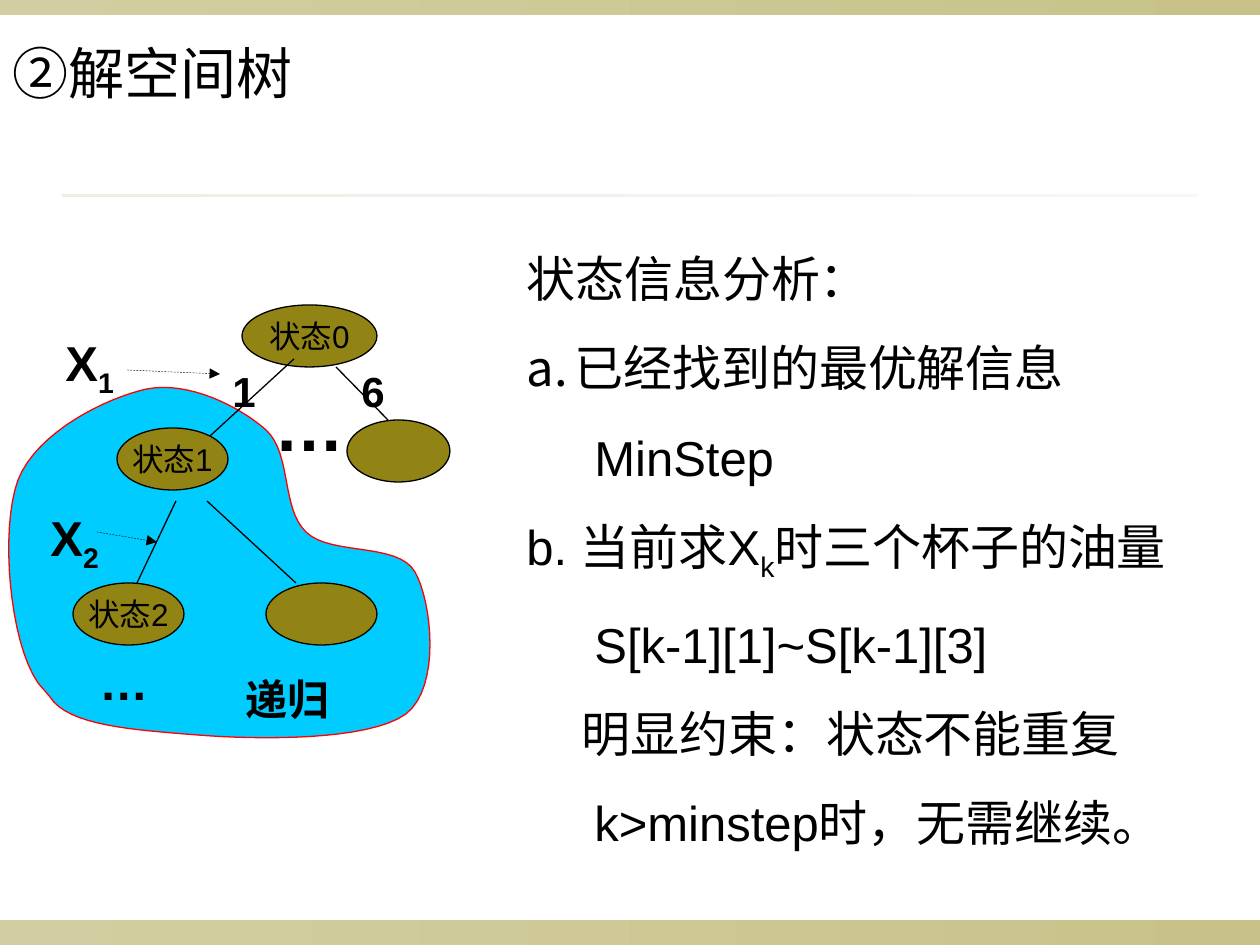
from lxml import etree
from pptx import Presentation
from pptx.dml.color import RGBColor
from pptx.enum.dml import MSO_LINE
from pptx.enum.shapes import MSO_CONNECTOR, MSO_SHAPE
from pptx.enum.text import MSO_ANCHOR, MSO_AUTO_SIZE, PP_ALIGN
from pptx.oxml.ns import qn
from pptx.util import Pt

PX = 914400 / 126
RECT, OVAL = MSO_SHAPE.RECTANGLE, MSO_SHAPE.OVAL
STRAIGHT, DASH = MSO_CONNECTOR.STRAIGHT, MSO_LINE.DASH
MIDDLE, CENTER = MSO_ANCHOR.MIDDLE, PP_ALIGN.CENTER
FIT = MSO_AUTO_SIZE.SHAPE_TO_FIT_TEXT

COLORS = {
    "ink": "000000", "node": "918415", "region": "00CCFF", "outline": "FF0000",
    "band_from": "D3CEA1", "band_to": "C8C28A",
    "rule_from": "EDECE5", "rule_to": "F8F7F5",
}

# Cubic segments of the recursion region: two control points and an end point
REGION_START = (38, 683)
REGION_CURVES = [
    ((9, 641), (0, 529), (18, 480)),
    ((37, 432), (106, 398), (147, 389)),
    ((188, 381), (239, 406), (266, 430)),
    ((292, 454), (281, 508), (306, 532)),
    ((330, 556), (398, 542), (415, 572)),
    ((432, 602), (441, 687), (406, 714)),
    ((369, 741), (258, 740), (197, 735)),
    ((135, 730), (68, 726), (50, 697)),
]
NODE_H = 62
NODES = [
    (242, 305, 135, "状态0"),
    (117, 428, 111, "状态1"),
    (347, 420, 103, ""),
    (73, 583, 111, "状态2"),
    (266, 583, 111, ""),
]
BRANCHES = [(294, 359, 210, 436), (336, 367, 388, 420),
            (176, 501, 137, 583), (207, 501, 296, 583)]
ARROWS = [(127, 370, 220, 374), (97, 532, 157, 542)]

# Each line: runs, left margin, first-line indent, numbering
ANALYSIS = [
    (["状态信息分析："], 0, 0, None),
    (["已经找到的最优解信息"], 48, -48, "alphaLcPeriod"),
    (["MinStep"], 68, 0, None),
    (["b. 当前求X", "_k", "时三个杯子的油量"], 48, -48, None),
    (["S[k-1][1]~S[k-1][3]"], 68, 0, None),
    (["明显约束：状态不能重复"], 55, 0, None),
    (["k>minstep时，无需继续。"], 68, 0, None),
]


def px(n):
    return round(n * PX)


def rgb(name):
    return RGBColor.from_string(COLORS[name])


def add_band(slide, box, name):
    """Borderless bar with a left-to-right gradient."""
    sp = slide.shapes.add_shape(RECT, *map(px, box))
    sp.shadow.inherit = False
    sp.line.fill.background()
    sp.fill.gradient()
    sp.fill.gradient_angle = 0
    for stop, end in zip(sp.fill.gradient_stops, ("from", "to")):
        stop.color.rgb = rgb(f"{name}_{end}")


def paint(sp, fill, line):
    sp.shadow.inherit = False
    sp.fill.solid()
    sp.fill.fore_color.rgb = rgb(fill)
    sp.line.color.rgb = rgb(line)
    sp.line.width = Pt(0.75)


def bezier(p0, p1, p2, p3, steps=16):
    """Points along a cubic curve in EMU, without its first point."""
    for i in range(1, steps + 1):
        t = i / steps
        u = 1 - t
        yield tuple(px(u**3 * a + 3 * u * u * t * b + 3 * u * t * t * c + t**3 * d)
                    for a, b, c, d in zip(p0, p1, p2, p3))


def add_region(slide):
    builder = slide.shapes.build_freeform(*map(px, REGION_START))
    start = REGION_START
    for curve in REGION_CURVES:
        builder.add_line_segments(list(bezier(start, *curve)), close=False)
        start = curve[-1]
    builder.add_line_segments([tuple(map(px, REGION_START))], close=True)
    paint(builder.convert_to_shape(), "region", "outline")


def fill_paragraph(p, runs, size, font="Arial", bold=False):
    """Add runs; one that starts with an underscore is a subscript."""
    for text in runs:
        r = p.add_run()
        r.text = text.removeprefix("_")
        r.font.size = Pt(size)
        r.font.name = font
        r.font.bold = bold
        r.font.color.rgb = rgb("ink")
        if text.startswith("_"):
            r._r.get_or_add_rPr().set("baseline", "-25000")


def set_indent(p, margin, indent, numbering=None):
    pPr = p._p.get_or_add_pPr()
    pPr.set("marL", str(px(margin)))
    pPr.set("indent", str(px(indent)))
    if numbering:
        color = etree.SubElement(pPr, qn("a:buClr"))
        etree.SubElement(color, qn("a:srgbClr"), val=COLORS["ink"])
        etree.SubElement(pPr, qn("a:buAutoNum"), type=numbering)


def add_node(slide, x, y, w, label):
    sp = slide.shapes.add_shape(OVAL, *map(px, (x, y, w, NODE_H)))
    paint(sp, "node", "ink")
    if label:
        tf = sp.text_frame
        tf.word_wrap = False
        tf.vertical_anchor = MIDDLE
        tf.paragraphs[0].alignment = CENTER
        fill_paragraph(tf.paragraphs[0], [label], 18)


def add_line(slide, ends, arrow=False):
    line = slide.shapes.add_connector(STRAIGHT, *map(px, ends))
    line.line.color.rgb = rgb("ink")
    line.line.width = Pt(0.25 if arrow else 0.75)
    if arrow:
        line.line.dash_style = DASH
        etree.SubElement(line.line._get_or_add_ln(), qn("a:tailEnd"), type="triangle")
    etree.SubElement(line._element.spPr, qn("a:effectLst"))


def add_text_box(slide, box, wrap=True, grow=True):
    tf = slide.shapes.add_textbox(*map(px, box)).text_frame
    tf.word_wrap = wrap
    if grow:
        tf.auto_size = FIT
    return tf


def add_label(slide, box, runs, size, wrap=True):
    p = add_text_box(slide, box, wrap).paragraphs[0]
    fill_paragraph(p, runs, size, bold=True)
    return p


def add_analysis(slide):
    tf = add_text_box(slide, (514, 242, 714, 616))
    for i, (runs, margin, indent, numbering) in enumerate(ANALYSIS):
        p = tf.add_paragraph() if i else tf.paragraphs[0]
        set_indent(p, margin, indent, numbering)
        if i:
            p.space_before = Pt(17.5)
        fill_paragraph(p, runs, 28)


def main():
    prs = Presentation()
    prs.slide_width, prs.slide_height = px(1260), px(945)
    slide = prs.slides.add_slide(prs.slide_layouts[6])

    add_band(slide, (0, 920, 1260, 25), "band")
    add_band(slide, (0, 0, 1260, 15), "band")
    add_band(slide, (62, 194, 1135, 3), "rule")
    title = add_text_box(slide, (0, 32, 1260, 892), grow=False)
    fill_paragraph(title.paragraphs[0], ["②解空间树"], 32, font="Lato")

    add_region(slide)
    for node in NODES:
        add_node(slide, *node)
    for ends in BRANCHES:
        add_line(slide, ends)
    for ends in ARROWS:
        add_line(slide, ends, arrow=True)

    add_label(slide, (53, 326, 79, 79), ["X", "_1"], 28)
    add_label(slide, (38, 501, 79, 79), ["X", "_2"], 28)
    add_label(slide, (87, 645, 89, 72), ["…"], 28)
    add_label(slide, (233, 667, 139, 63), ["递归"], 24)
    branch_numbers = add_label(slide, (220, 359, 220, 63), ["6"], 24)
    set_indent(branch_numbers, 129, -129, "arabicPlain")
    add_label(slide, (262, 375, 94, 97), ["…"], 40, wrap=False)
    add_analysis(slide)

    prs.save("out.pptx")


if __name__ == "__main__":
    main()
